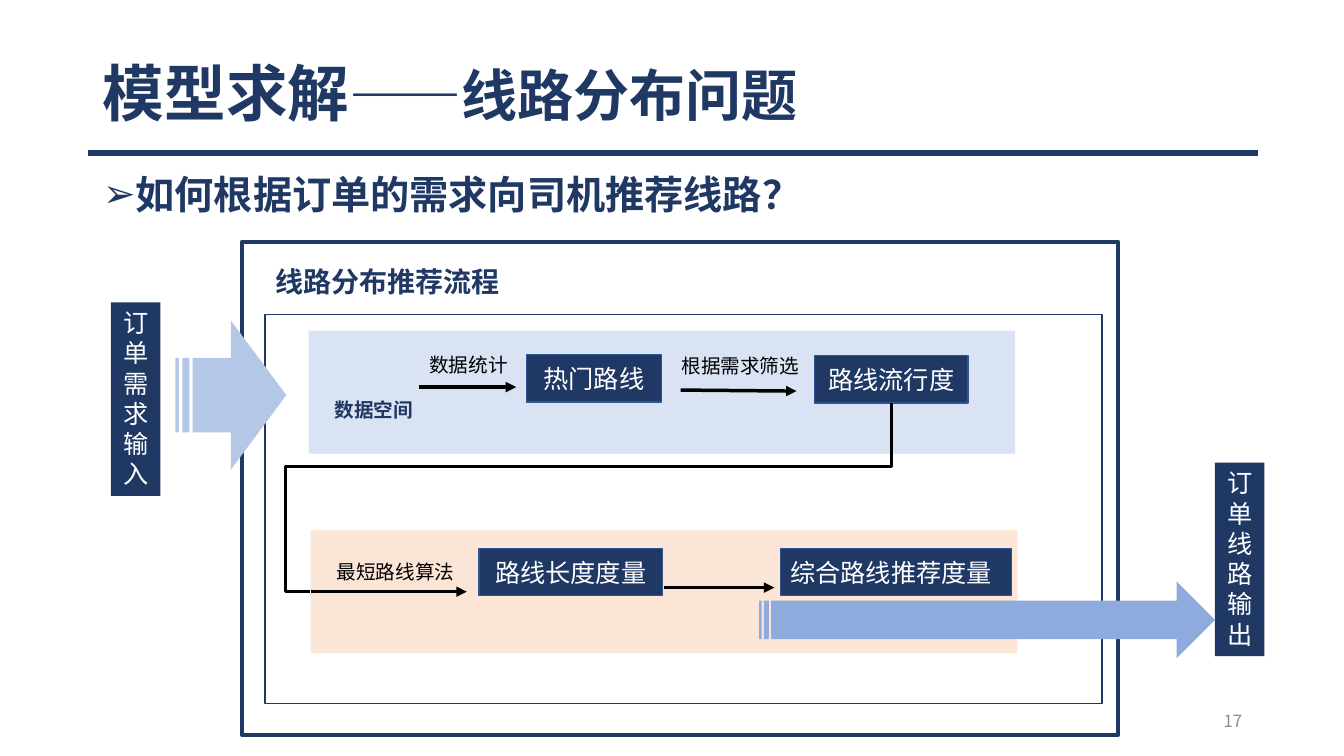
from dataclasses import dataclass

from pptx import Presentation
from pptx import util as u
from pptx.dml.color import RGBColor
from pptx.enum import shapes, text
from pptx.oxml import xmlchemy as x

Inches, Pt = u.Inches, u.Pt
ALIGN, ANCHOR, FIT = text.PP_ALIGN, text.MSO_ANCHOR, text.MSO_AUTO_SIZE
RECT = shapes.MSO_SHAPE.RECTANGLE
ARROW = shapes.MSO_SHAPE.STRIPED_RIGHT_ARROW


@dataclass(frozen=True)
class Theme:
    """Fonts, colours and type sizes of the slide."""
    font: str = "Noto Sans CJK SC"
    navy: str = "203864"
    edge: str = "325491"
    black: str = "000000"
    white: str = "FFFFFF"
    grey: str = "8C8C8C"
    data_band: str = "DAE3F3"
    measure_band: str = "FBE5D6"
    input_arrow: str = "B4C7E7"
    output_arrow: str = "8FAADC"
    title: int = 44
    subtitle: int = 40
    question: int = 28
    heading: int = 20
    box: int = 18
    label: int = 14
    number: int = 12


T = Theme()


def rgb(value):
    """Turn a hex string into a colour."""
    return RGBColor.from_string(value)


def sub(parent, tag, **attrs):
    """Append a DrawingML element with attributes."""
    el = x.OxmlElement(tag)
    for key, value in attrs.items():
        el.set(key, value)
    parent.append(el)
    return el


def add_run(p, words, size, color, bold=False):
    """Add one formatted run to a paragraph."""
    r = p.add_run()
    r.text = words
    r.font.size, r.font.bold, r.font.name = Pt(size), bold, T.font
    r.font.color.rgb = rgb(color)
    sub(r.font._element, "a:ea", typeface=T.font)


def place(sp, left, top, width, height):
    """Move and size a placeholder."""
    sp.left, sp.top = Inches(left), Inches(top)
    sp.width, sp.height = Inches(width), Inches(height)


def add_title(s):
    """Fill the title placeholder."""
    sp = s.shapes.title
    place(sp, 0.92, 0.4, 11.5, 1.12)
    tf = sp.text_frame
    tf.auto_size, tf.vertical_anchor = FIT.NONE, ANCHOR.MIDDLE
    p = tf.paragraphs[0]
    p.alignment, p.line_spacing = ALIGN.LEFT, 0.9
    add_run(p, "模型求解", T.title, T.navy, True)
    add_run(p, "——线路分布问题", T.subtitle, T.navy, True)


def add_question(s):
    """Fill the body placeholder with its bulleted question."""
    sp = s.placeholders[1]
    place(sp, 0.92, 1.69, 11.5, 5.06)
    tf = sp.text_frame
    tf.auto_size = FIT.NONE
    p = tf.paragraphs[0]
    p.line_spacing, p.space_before = 0.9, Pt(0)
    pPr = p._p.get_or_add_pPr()
    indent = Inches(0.25)
    pPr.set("marL", str(indent))
    pPr.set("indent", str(-indent))
    sub(pPr, "a:buChar", char="➢")
    add_run(p, "如何根据订单的需求向司机推荐线路？", T.question, T.navy, True)


def add_label(s, words, left, top, width, height, size=T.label, color=T.black,
              bold=False, align=ALIGN.LEFT, anchor=ANCHOR.TOP):
    """Add a wrapped text box with one line of text."""
    sp = s.shapes.add_textbox(*map(Inches, (left, top, width, height)))
    tf = sp.text_frame
    tf.word_wrap, tf.vertical_anchor = True, anchor
    p = tf.paragraphs[0]
    p.alignment = align
    add_run(p, words, size, color, bold)


def add_block(s, left, top, width, height, fill=None, line=None, weight=1,
              kind=RECT):
    """Add a flat shape with an optional fill and outline."""
    sp = s.shapes.add_shape(kind, *map(Inches, (left, top, width, height)))
    sp.shadow.inherit = False
    if fill:
        sp.fill.solid()
        sp.fill.fore_color.rgb = rgb(fill)
    else:
        sp.fill.background()
    if line:
        sp.line.color.rgb, sp.line.width = rgb(line), Pt(weight)
    else:
        sp.line.fill.background()
    return sp


def add_step(s, words, left, top, width, align=ALIGN.CENTER):
    """Add a navy step of the process."""
    sp = add_block(s, left, top, width, 0.47, T.navy, T.edge)
    tf = sp.text_frame
    tf.vertical_anchor = ANCHOR.MIDDLE
    p = tf.paragraphs[0]
    p.alignment = align
    add_run(p, words, T.box, T.white)


def add_order_tag(s, words, left, top):
    """Add a narrow tag whose text runs one character per line."""
    sp = add_block(s, left, top, 0.49, 1.92, T.navy)
    tf = sp.text_frame
    tf.word_wrap, tf.vertical_anchor = True, ANCHOR.TOP
    p = tf.paragraphs[0]
    p.alignment = ALIGN.CENTER
    add_run(p, words, T.box, T.white)


def add_line(s, x1, y1, x2, y2, color=T.black, weight=2.5, head=True):
    """Add a straight line, with an arrowhead if wanted."""
    c = s.shapes.add_connector(shapes.MSO_CONNECTOR.STRAIGHT,
                               *map(Inches, (x1, y1, x2, y2)))
    c.line.color.rgb, c.line.width = rgb(color), Pt(weight)
    if head:
        sub(c.line._get_or_add_ln(), "a:tailEnd", type="triangle")
    sub(c._element.spPr, "a:effectLst")


def add_return_path(s, *points):
    """Add the bent path that links the two rows."""
    start, *corners = [(Inches(left), Inches(top)) for left, top in points]
    fb = s.shapes.build_freeform(*start)
    fb.add_line_segments(corners, close=False)
    sp = fb.convert_to_shape()
    sp.shadow.inherit = False
    sp.fill.background()
    sp.line.color.rgb, sp.line.width = rgb(T.black), Pt(2.5)


def main():
    """Build the slide and save it."""
    prs = Presentation()
    prs.slide_width, prs.slide_height = Inches(13.33), Inches(7.5)
    s = prs.slides.add_slide(prs.slide_layouts[1])
    add_line(s, 0.87, 1.52, 12.48, 1.52, T.navy, 4, head=False)
    add_title(s)
    add_question(s)

    add_block(s, 3.06, 3.28, 7.01, 1.22, T.data_band)
    add_block(s, 2.63, 3.12, 8.3, 3.86, line=T.navy)
    add_block(s, 3.08, 5.26, 7.01, 1.22, T.measure_band)
    add_block(s, 2.4, 2.4, 8.69, 4.89, line=T.navy, weight=3)
    add_label(s, "线路分布推荐流程", 2.63, 2.57, 4.55, 0.44, T.heading, T.navy, True)
    add_label(s, "数据空间", 3.18, 3.9, 1.06, 0.34, T.label, T.navy, True,
              ALIGN.CENTER)

    add_order_tag(s, "订单需求输入", 1.1, 3)
    add_block(s, 1.74, 3.18, 1.1, 1.48, T.input_arrow, kind=ARROW)
    add_order_tag(s, "订单线路输出", 12.05, 4.59)
    add_block(s, 7.53, 5.77, 4.52, 0.76, T.output_arrow, kind=ARROW)

    add_step(s, "热门路线", 5.22, 3.52, 1.34)
    add_step(s, "路线流行度", 8.08, 3.53, 1.52)
    add_step(s, "路线长度度量", 4.75, 5.44, 1.82)
    add_step(s, "综合路线推荐度量", 7.74, 5.44, 2.29, ALIGN.LEFT)

    for ends in ((4.16, 3.84, 5.12, 3.84), (6.75, 3.87, 7.9, 3.88),
                 (3.08, 5.87, 4.63, 5.87), (6.59, 5.83, 7.68, 5.83)):
        add_line(s, *ends)
    add_return_path(s, (8.84, 4), (8.84, 4.63), (2.83, 4.63), (2.83, 5.87),
                    (3.08, 5.87))
    for words, left, top in (("数据统计", 4.16, 3.45), ("根据需求筛选", 6.66, 3.46),
                             ("最短路线算法", 3.24, 5.51)):
        add_label(s, words, left, top, 1.39, 0.34)
    add_label(s, "17", 9.42, 6.95, 3, 0.4, T.number, T.grey,
              align=ALIGN.RIGHT, anchor=ANCHOR.MIDDLE)
    prs.save("out.pptx")


if __name__ == "__main__":
    main()
